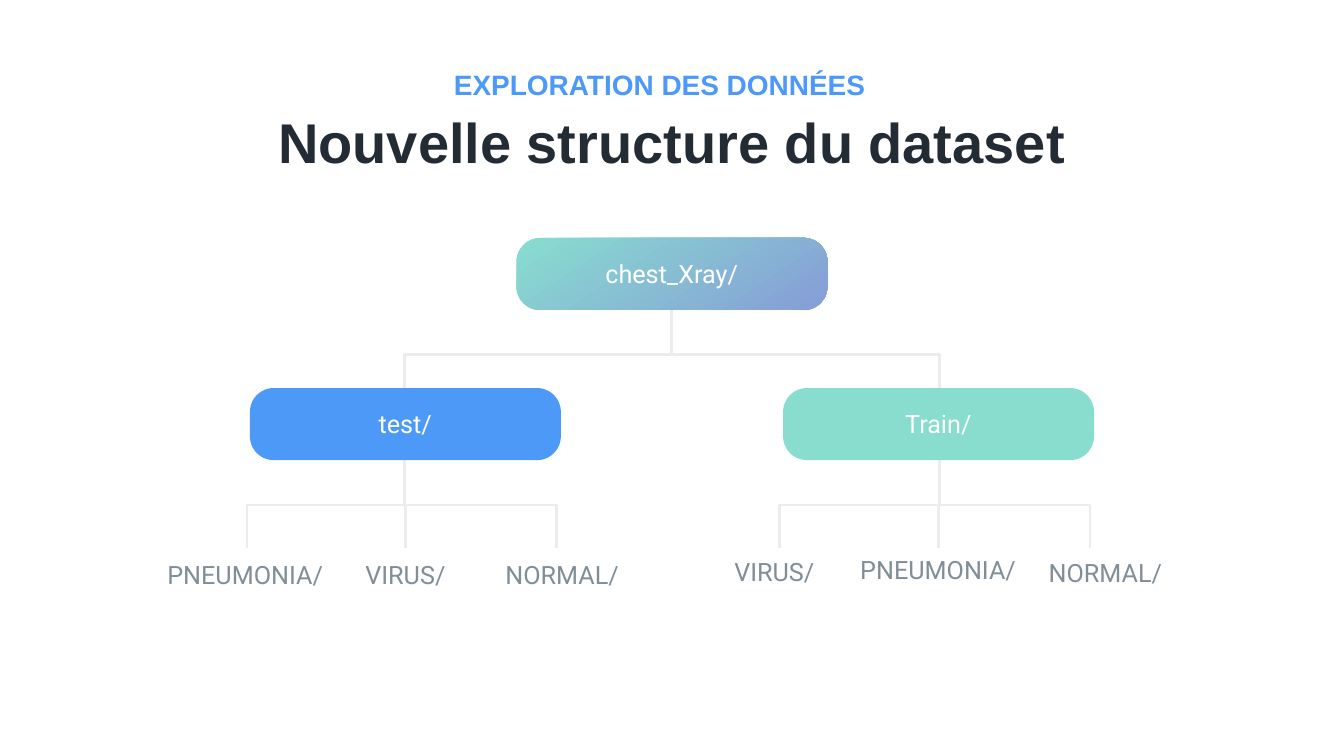
from dataclasses import dataclass

from lxml.etree import SubElement
from pptx import Presentation
from pptx.dml.color import RGBColor as RGB
from pptx.enum.shapes import MSO_CONNECTOR as Connector, MSO_SHAPE as Shape
from pptx.enum.text import MSO_AUTO_SIZE as AutoSize, PP_ALIGN as Align
from pptx.oxml.ns import qn
from pptx.util import Inches, Pt


@dataclass(frozen=True)
class Theme:
    """Colours, fonts and sizes of the slide."""

    blue: str = "4C99F8"
    eyebrow: str = "4C99F9"
    mint: str = "88DDCF"
    lavender: str = "869DD7"
    ink: str = "232B35"
    grey: str = "808E98"
    white: str = "FFFFFF"
    branch: str = "EAECED"
    heading_font: str = "Arial"
    body_font: str = "Roboto"
    title_size: int = 80
    eyebrow_size: int = 40
    body_size: int = 36
    branch_width: int = 4


def format_text(frame, text, *, font, size, color, bold=False, align=Align.CENTER):
    """Write one formatted paragraph into a text frame."""
    frame.word_wrap = True
    frame.auto_size = AutoSize.SHAPE_TO_FIT_TEXT
    frame.margin_left = frame.margin_right = Inches(0.1)
    frame.margin_top = frame.margin_bottom = Inches(0.1)
    paragraph = frame.paragraphs[0]
    paragraph.alignment = align
    run = paragraph.add_run()
    run.text = text
    run.font.name = font
    run.font.size = Pt(size)
    run.font.bold = bold
    run.font.color.rgb = RGB.from_string(color)


class TreeSlide:
    """Draws the elements of a folder tree on one slide."""

    node_width, node_height = 6.17, 1.43
    label_width, label_height = 3.35, 0.87

    def __init__(self, slide, theme):
        """Keep the slide and its theme."""
        self.slide = slide
        self.theme = theme

    def text(self, text, left, top, width, height, **style):
        """Add a text box."""
        box = self.slide.shapes.add_textbox(*map(Inches, (left, top, width, height)))
        format_text(box.text_frame, text, **style)

    def heading(self, text, left, top, width, height, **style):
        """Add a bold heading."""
        self.text(text, left, top, width, height,
                  font=self.theme.heading_font, bold=True, **style)

    def label(self, text, left, top, width=label_width, color=None):
        """Add a folder name."""
        self.text(text, left, top, width, self.label_height,
                  font=self.theme.body_font, size=self.theme.body_size,
                  color=color or self.theme.grey)

    def node(self, text, left, top, *colors):
        """Add a rounded folder box, with a gradient when two colours are given."""
        shape = self.slide.shapes.add_shape(
            Shape.ROUNDED_RECTANGLE,
            *map(Inches, (left, top, self.node_width, self.node_height)))
        shape.adjustments[0] = 0.33
        shape.shadow.inherit = False
        shape.line.fill.background()
        if len(colors) > 1:
            shape.fill.gradient()
            shape.fill.gradient_angle = 304
            for stop, color in zip(shape.fill.gradient_stops, colors):
                stop.color.rgb = RGB.from_string(color)
        else:
            shape.fill.solid()
            shape.fill.fore_color.rgb = RGB.from_string(colors[0])
        self.label(text, left + 0.26, top + 0.3, self.node_width - 0.53,
                   self.theme.white)

    def style_branch(self, line):
        """Give a branch its colour and width."""
        line.color.rgb = RGB.from_string(self.theme.branch)
        line.width = Pt(self.theme.branch_width)

    def stem(self, x, top, bottom):
        """Add a vertical connector."""
        connector = self.slide.shapes.add_connector(
            Connector.STRAIGHT, *map(Inches, (x, bottom, x, top)))
        self.style_branch(connector.line)
        SubElement(connector._element.spPr, qn("a:effectLst"))

    def bracket(self, left, right, top, bottom):
        """Add an open bracket that reaches down to two children."""
        builder = self.slide.shapes.build_freeform(Inches(left), Inches(bottom))
        corners = [(left, top), (right, top), (right, bottom)]
        builder.add_line_segments(
            [(Inches(x), Inches(y)) for x, y in corners], close=False)
        shape = builder.convert_to_shape()
        shape.shadow.inherit = False
        shape.fill.background()
        self.style_branch(shape.line)


def main():
    """Build and save the presentation."""
    presentation = Presentation()
    presentation.slide_width = Inches(26.67)
    presentation.slide_height = Inches(15)
    theme = Theme()
    tree = TreeSlide(presentation.slides.add_slide(presentation.slide_layouts[6]), theme)

    tree.heading("EXPLORATION DES DONNÉES", 8.91, 1.24, 8.86, 0.87,
                 size=theme.eyebrow_size, color=theme.eyebrow, align=Align.LEFT)
    tree.heading("Nouvelle structure du dataset", 5.22, 2.03, 16.23, 1.53,
                 size=theme.title_size, color=theme.ink)

    tree.stem(13.32, 6.07, 7.03)
    tree.node("chest_Xray/", 10.25, 4.72, theme.mint, theme.lavender)
    tree.bracket(8.03, 18.64, 7.03, 10.03)

    folders = [
        ("test/", 4.96, theme.blue, (4.9, 8.04, 11.05),
         [("PNEUMONIA/", 3.19, 11), ("VIRUS/", 6.37, 11), ("NORMAL/", 9.48, 11)]),
        ("Train/", 15.54, theme.mint, (15.47, 18.62, 21.63),
         [("VIRUS/", 13.69, 10.94), ("PNEUMONIA/", 16.94, 10.89),
          ("NORMAL/", 20.26, 10.95)]),
    ]
    for name, left, color, branches, children in folders:
        tree.node(name, left, 7.7, color)
        for start, end in zip(branches, branches[1:]):
            tree.bracket(start, end, 10.02, 10.88)
        for child in children:
            tree.label(*child)

    presentation.save("out.pptx")


if __name__ == "__main__":
    main()
